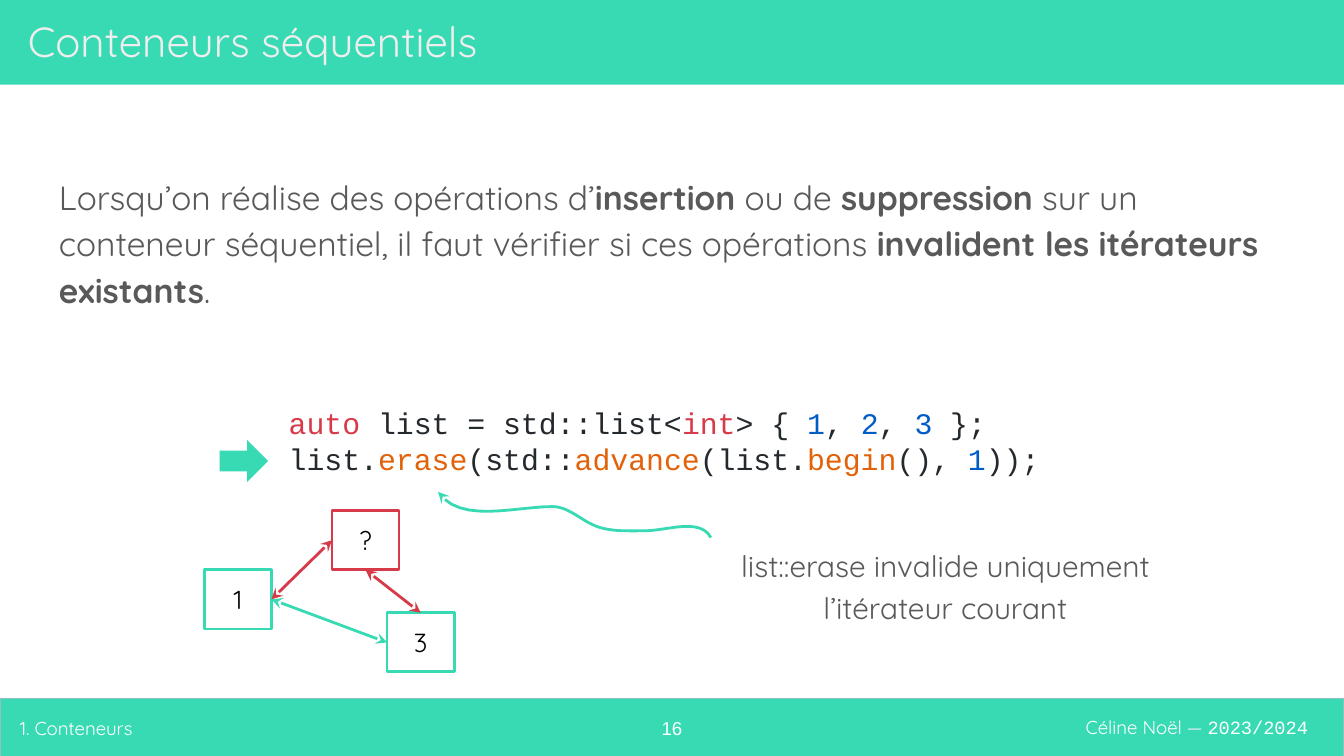
from pptx import Presentation
from pptx import util as u
from pptx.dml.color import RGBColor
from pptx.enum import shapes, text
from pptx.oxml.ns import qn
from lxml import etree

COLORS = {
    "teal": "38DAB3", "red": "D73A49", "edge": "93C0C5", "white": "FFFFFF",
    "pale": "EEEEEE", "dash": "E2EEFF", "grey": "595959", "black": "000000",
    "code": "24292E", "number": "005CC5", "call": "E36209",
}
SANS, MONO = "Quicksand", "Courier New"
LEFT, CENTER, RIGHT = text.PP_ALIGN.LEFT, text.PP_ALIGN.CENTER, text.PP_ALIGN.RIGHT
TOP, MIDDLE = text.MSO_ANCHOR.TOP, text.MSO_ANCHOR.MIDDLE

PAGE_WIDTH = 10
PAGE_HEIGHT = PAGE_WIDTH * 9 / 16

BANDS = [((0, 5.2, PAGE_WIDTH, 0.44), "edge"), ((0, 0, PAGE_WIDTH, 0.63), None)]

INTRO = [
    ("Lorsqu’on réalise des opérations d’", {}),
    ("insertion", {"bold": True}),
    (" ou de ", {}),
    ("suppression", {"bold": True}),
    (" sur un conteneur séquentiel, il faut vérifier si ces opérations ", {}),
    ("invalident les itérateurs existants", {"bold": True}),
    (".", {}),
]
AUTHOR = [
    ("Céline Noël ", {}),
    ("— ", {"color": "dash"}),
    ("2023/2024", {"font": MONO}),
]
CODE = [
    [("auto", "red"), (" list = std::list<", "code"), ("int", "red"), ("> { ", "code"),
     ("1", "number"), (", ", "code"), ("2", "number"), (", ", "code"),
     ("3", "number"), (" };", "code")],
    [("list.", "code"), ("erase", "call"), ("(std::", "code"), ("advance", "call"),
     ("(list.", "code"), ("begin", "call"), ("(), ", "code"), ("1", "number"),
     ("));", "code")],
]
CODE_LINES = [[(words, {"color": color}) for words, color in line] for line in CODE]

TEXTS = [
    {"at": (7.18, 5.19, 2.65, 0.44), "lines": [AUTHOR], "size": 10, "color": "white",
     "align": RIGHT, "anchor": MIDDLE},
    {"at": (0.34, 1.17, 9.32, 1.25), "lines": [INTRO], "size": 18, "color": "grey",
     "spacing": 1.15},
    {"at": (0.11, 0.06, 9.48, 0.48), "lines": [[("Conteneurs séquentiels", {})]],
     "size": 22.5, "color": "pale", "anchor": MIDDLE},
    {"at": (4.7, 5.25, 0.6, 0.36), "lines": [[("16", {})]], "size": 10,
     "color": "white", "font": "Arial", "align": CENTER},
    {"at": (0.05, 5.2, 4.54, 0.44), "lines": [[("1. Conteneurs", {})]], "size": 10,
     "color": "white", "anchor": MIDDLE},
    {"at": (2.05, 2.91, 6.01, 0.74), "lines": CODE_LINES, "size": 16, "color": "code",
     "font": MONO},
    {"at": (5.08, 3.76, 3.91, 1.17),
     "lines": [[("list::erase invalide uniquement l’itérateur courant", {})]],
     "size": 16, "color": "grey", "align": CENTER, "anchor": MIDDLE, "spacing": 1.15},
]

NODE_SIZE = (0.5, 0.44)
NODES = {"1": (1.52, 4.24, "teal"), "?": (2.47, 3.8, "red"), "3": (2.88, 4.56, "teal")}
TOP_SITE, LEFT_SITE, BOTTOM_SITE, RIGHT_SITE = range(4)
LINKS = [
    ("1", RIGHT_SITE, "?", LEFT_SITE, "red"),
    ("?", BOTTOM_SITE, "3", TOP_SITE, "red"),
    ("1", RIGHT_SITE, "3", LEFT_SITE, "teal"),
]

CURVE_START = (5.29, 4)
CURVE = [
    ((5.21, 3.85), (4.96, 3.95), (4.8, 3.95)),
    ((4.66, 3.95), (4.52, 3.96), (4.4, 3.9)),
    ((4.3, 3.85), (4.22, 3.77), (4.11, 3.77)),
    ((3.83, 3.77), (3.42, 3.9), (3.26, 3.66)),
]
CURVE_STEPS = 12


def rgb(name):
    return RGBColor.from_string(COLORS[name])


def inches(values):
    return [u.Inches(value) for value in values]


def write(frame, lines, size, color, font=SANS, align=LEFT, anchor=TOP, spacing=None):
    frame.word_wrap = True
    frame.vertical_anchor = anchor
    frame.margin_left = frame.margin_right = u.Inches(0.1)
    frame.margin_top = frame.margin_bottom = u.Inches(0.1)
    for index, line in enumerate(lines):
        para = frame.add_paragraph() if index else frame.paragraphs[0]
        para.alignment = align
        if spacing:
            para.line_spacing = spacing
            para.space_after = u.Pt(12)
        for words, style in line:
            span = para.add_run()
            span.text = words
            span.font.size = u.Pt(size)
            span.font.name = style.get("font", font)
            span.font.bold = style.get("bold", False)
            span.font.color.rgb = rgb(style.get("color", color))


def paint(shape, fill=None, line=None, width=1.5):
    shape.shadow.inherit = False
    if fill:
        shape.fill.solid()
        shape.fill.fore_color.rgb = rgb(fill)
    else:
        shape.fill.background()
    if line:
        shape.line.color.rgb = rgb(line)
        shape.line.width = u.Pt(width)
    else:
        shape.line.fill.background()


def add_heads(shape, *ends):
    line = shape.line._get_or_add_ln()
    for end in ends:
        etree.SubElement(line, qn(f"a:{end}"), type="stealth")


def bezier(points, t):
    weights = ((1 - t) ** 3, 3 * t * (1 - t) ** 2, 3 * t ** 2 * (1 - t), t ** 3)
    return [sum(w * point[axis] for w, point in zip(weights, points)) for axis in (0, 1)]


def add_curve(page):
    points, start = [], CURVE_START
    for segment in CURVE:
        points += [bezier((start, *segment), step / CURVE_STEPS)
                   for step in range(1, CURVE_STEPS + 1)]
        start = segment[-1]
    builder = page.shapes.build_freeform(*inches(CURVE_START))
    builder.add_line_segments([inches(point) for point in points], close=False)
    curve = builder.convert_to_shape()
    paint(curve, line="teal")
    add_heads(curve, "tailEnd")


def add_links(page, nodes):
    for first, first_site, last, last_site, color in LINKS:
        link = page.shapes.add_connector(shapes.MSO_CONNECTOR.STRAIGHT, 0, 0, 0, 0)
        link.begin_connect(nodes[first], first_site)
        link.end_connect(nodes[last], last_site)
        link.line.color.rgb = rgb(color)
        link.line.width = u.Pt(1.5)
        add_heads(link, "headEnd", "tailEnd")
        etree.SubElement(link._element.spPr, qn("a:effectLst"))


def main():
    deck = Presentation()
    deck.slide_width, deck.slide_height = inches((PAGE_WIDTH, PAGE_HEIGHT))
    page = deck.slides.add_slide(deck.slide_layouts[6])
    kinds = shapes.MSO_SHAPE

    for at, edge in BANDS:
        band = page.shapes.add_shape(kinds.RECTANGLE, *inches(at))
        paint(band, "teal", edge, 0.75)

    for entry in TEXTS:
        style = {key: value for key, value in entry.items() if key != "at"}
        box = page.shapes.add_textbox(*inches(entry["at"]))
        write(box.text_frame, **style)

    pointer = page.shapes.add_shape(kinds.DOWN_ARROW, *inches((1.66, 3.25, 0.31, 0.36)))
    pointer.rotation = 270
    paint(pointer, "teal")

    nodes = {}
    for label, (left, top, color) in NODES.items():
        node = page.shapes.add_shape(kinds.RECTANGLE, *inches((left, top, *NODE_SIZE)))
        paint(node, line=color)
        write(node.text_frame, [[(label, {})]], 14, "black", align=CENTER, anchor=MIDDLE)
        nodes[label] = node

    add_curve(page)
    add_links(page, nodes)
    deck.save("out.pptx")


if __name__ == "__main__":
    main()
